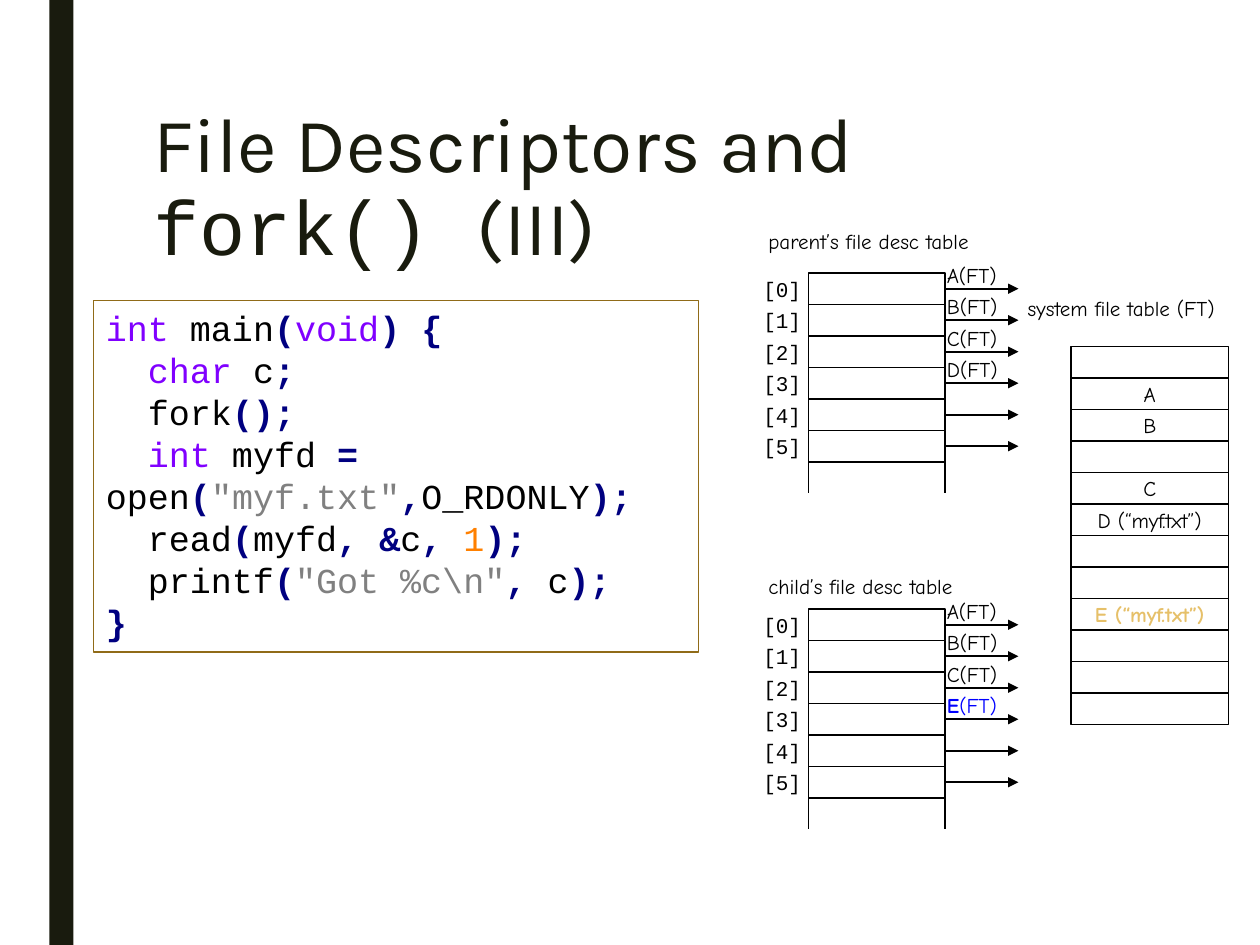
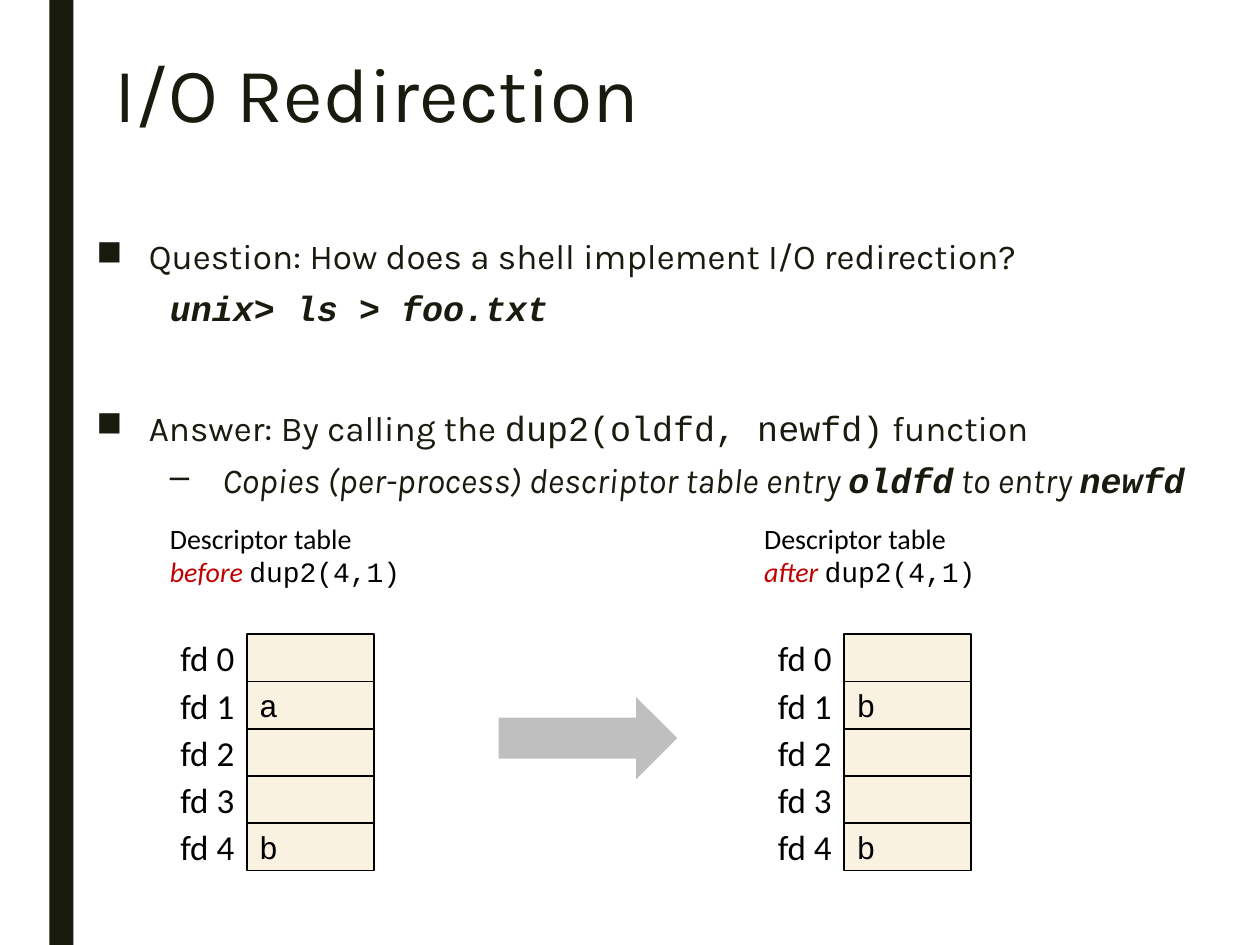
"""Build two slides on file descriptors, fork() and dup2()."""
from lxml import etree
from pptx import Presentation
from pptx import util as u
from pptx.dml.color import RGBColor
from pptx.enum import shapes, text
from pptx.oxml.ns import qn

PX = u.Inches(1) / 120
INK, BLACK, WHITE = "191B0E", "000000", "FFFFFF"
CREAM, GOLD, BROWN, GREY = "FAF2E1", "E6C069", "906B18", "BFBFBF"

LEFT, CENTER, RIGHT = text.PP_ALIGN.LEFT, text.PP_ALIGN.CENTER, text.PP_ALIGN.RIGHT
TOP, MIDDLE = text.MSO_ANCHOR.TOP, text.MSO_ANCHOR.MIDDLE

TITLE = {"name": "Karla", "size": u.Pt(44), "color": INK}
BODY = {"name": "Karla", "size": u.Pt(20), "color": INK}
CODE = {"name": "Courier New", "size": u.Pt(20), "color": BLACK}
SKETCH = {"name": "Comic Neue", "size": u.Pt(12), "color": BLACK}
INDEX = {"name": "Courier New", "size": u.Pt(12), "color": BLACK}
ENTRY = {"name": "Courier New", "size": u.Pt(18), "color": BLACK}
LABEL = {"name": "Calibri", "size": u.Pt(20), "color": BLACK}
CAPTION = {"name": "Calibri", "size": u.Pt(16), "color": BLACK}

MONO = {"name": "Courier New"}
ITALIC = {"italic": True}
MONO_BOLD_ITALIC = {"name": "Courier New", "bold": True, "italic": True}
PLAIN = {}
TYPE = {"color": "8000FF"}
MARK = {"color": "000080", "bold": True}
STRING = {"color": "808080"}
NUMBER = {"color": "FF8000"}


def px(length):
    return u.Emu(round(length * PX))


def rgb(value):
    return RGBColor.from_string(value)


class Deck:
    def __init__(self):
        self.deck = Presentation()
        self.deck.slide_width, self.deck.slide_height = px(1200), px(900)
        self.page = None

    def new_page(self, title, place):
        self.page = self.deck.slides.add_slide(self.deck.slide_layouts[6])
        self.shape((47, 0, 23, 900), fill=INK)
        box = self.text(place, [title], TITLE, paragraph={"line_spacing": 0.89})
        box.text_frame.margin_top = px(12)

    def shape(self, place, fill=None, line=None, width=1, kind=shapes.MSO_SHAPE.RECTANGLE):
        box = self.page.shapes.add_shape(kind, *map(px, place))
        box.shadow.inherit = False
        if fill:
            box.fill.solid()
            box.fill.fore_color.rgb = rgb(fill)
        else:
            box.fill.background()
        if line:
            box.line.color.rgb = rgb(line)
            box.line.width = u.Pt(width)
        else:
            box.line.fill.background()
        return box

    def text(self, place, lines, style, anchor=TOP, margin=12, paragraph=None):
        box = self.page.shapes.add_textbox(*map(px, place))
        self.put_text(box, lines, style, anchor, margin, paragraph)
        return box

    def put_text(self, box, lines, style, anchor=MIDDLE, margin=12, paragraph=None):
        frame = box.text_frame
        layout = {"word_wrap": True, "vertical_anchor": anchor,
                  "margin_left": px(margin), "margin_right": px(margin)}
        for name, value in layout.items():
            setattr(frame, name, value)
        for row, line in enumerate(lines):
            para = frame.add_paragraph() if row else frame.paragraphs[0]
            for name, value in {"alignment": LEFT, **(paragraph or {})}.items():
                setattr(para, name, value)
            for words, change in [(line, {})] if isinstance(line, str) else line:
                span = para.add_run()
                span.text = words
                look = {**style, **change}
                span.font.color.rgb = rgb(look.pop("color"))
                for name, value in look.items():
                    setattr(span.font, name, value)

    def indent(self, para, left, first, bullet=None):
        props = para._p.get_or_add_pPr()
        props.set("marL", str(px(left)))
        props.set("indent", str(px(first)))
        if bullet:
            etree.SubElement(props, qn("a:buChar")).set("char", bullet)
        else:
            etree.SubElement(props, qn("a:buNone"))

    def line(self, start, end, source=None, arrow=False):
        link = self.page.shapes.add_connector(
            shapes.MSO_CONNECTOR.STRAIGHT, *map(px, (*start, *end)))
        link.line.color.rgb = rgb(BLACK)
        link.line.width = u.Pt(1)
        if source is not None:
            link.begin_connect(source, 3)
        props = link._element.spPr
        if arrow:
            etree.SubElement(props.find(qn("a:ln")), qn("a:tailEnd")).set("type", "triangle")
        etree.SubElement(props, qn("a:effectLst"))

    def column(self, place, count, entries, style, align, fill=None):
        left, top, width, height = place
        cells = []
        for row in range(count):
            cell = self.shape((left, top + row * height, width, height), fill, BLACK)
            if row in entries:
                self.put_text(cell, [entries[row]], style, paragraph={"alignment": align})
            cells.append(cell)
        return cells

    def process_table(self, caption, caption_top, top, targets):
        left, width, height, count = 770, 130, 30, 6
        right, bottom = left + width, top + count * height
        self.text((720, caption_top, 240, 36), [caption], SKETCH)
        cells = self.column((left, top, width, height), count, {}, SKETCH, CENTER)
        for side in (left, right):
            self.line((side, bottom), (side, bottom + height))
        for row, cell in enumerate(cells):
            y = top + row * height
            self.text((720, y, 50, height), [f"[{row}]"], INDEX, MIDDLE, 0,
                      {"alignment": CENTER})
            middle = y + height // 2
            self.line((right, middle), (right + 70, middle), cell, arrow=True)
        for row, target in enumerate(targets):
            self.text((890, top - 16 + row * height, 79, 36), [target], SKETCH)

    def descriptor_table(self, left, caption_left, moment, entries):
        top, width, height, count = 604, 121, 45, 5
        self.column((left, top, width, height), count, entries, ENTRY, LEFT, CREAM)
        for row in range(count):
            self.text((left - width, top + row * height, width, height), [f"fd {row}"],
                      LABEL, MIDDLE, paragraph={"alignment": RIGHT})
        second = [(f"{moment} ", {"color": "C00000", "italic": True}), ("dup2(4,1)", MONO)]
        self.text((caption_left, 474, 340, 109), ["Descriptor table", second], CAPTION, MIDDLE)


def fork_page(deck):
    deck.new_page([("File Descriptors and ", {}), ("fork() ", MONO), ("(III)", {})],
                  (134, 90, 946, 194))
    deck.process_table("parent’s file desc table", 212, 260,
                       ["A(FT)", "B(FT)", "C(FT)", "D(FT)"])
    blue = {"color": "0000FF"}
    deck.process_table("child’s file desc table", 540, 580,
                       ["A(FT)", "B(FT)", "C(FT)",
                        [("E", {**blue, "bold": True}), ("(FT)", blue)]])
    deck.text((967, 276, 230, 36), ["system file table (FT)"], SKETCH)
    files = {1: "A", 2: "B", 4: "C", 5: "D (“myf.txt”)",
             8: [("E (“myf.txt”)", {"color": GOLD, "bold": True})]}
    deck.column((1020, 330, 150, 30), 12, files, SKETCH, CENTER)

    program = [
        [("int", TYPE), (" main", PLAIN), ("(", MARK), ("void", TYPE), (") {", MARK)],
        [("char", TYPE), (" c", PLAIN), (";", MARK)],
        [("fork", PLAIN), ("();", MARK)],
        [("int", TYPE), (" myfd ", PLAIN), ("=", MARK), (" open", PLAIN), ("(", MARK),
         ('"myf.txt"', STRING), (",", MARK), ("O_RDONLY", PLAIN), (");", MARK)],
        [("read", PLAIN), ("(", MARK), ("myfd", PLAIN), (", &", MARK), ("c", PLAIN),
         (", ", MARK), ("1", NUMBER), (");", MARK)],
        [("printf", PLAIN), ("(", MARK), (r'"Got %c\n"', STRING), (",", MARK),
         (" c", PLAIN), (");", MARK)],
        [("}", MARK)],
    ]
    listing = deck.shape((89, 286, 576, 335), WHITE, BROWN, 0.75)
    deck.put_text(listing, program, CODE, TOP)
    for para in listing.text_frame.paragraphs[1:-1]:
        deck.indent(para, 0, 40)


def redirection_page(deck):
    deck.new_page("I/O Redirection", (97, 42, 996, 100))
    points = [
        ("■", 10, "Question: How does a shell implement I/O redirection?"),
        (None, 5, [("unix> ls > foo.txt", MONO_BOLD_ITALIC)]),
        ("■", 44, [("Answer: By calling the ", {}), ("dup2(oldfd, newfd)", MONO),
                   (" function", {})]),
        ("–", 5, [("Copies (per-process) descriptor table entry ", ITALIC),
                  ("oldfd", MONO_BOLD_ITALIC), (" to entry ", ITALIC),
                  ("newfd", MONO_BOLD_ITALIC)]),
    ]
    box = deck.text((80, 221, 1090, 269), [words for _, _, words in points], BODY,
                    paragraph={"line_spacing": 0.94, "space_after": u.Pt(2)})
    for para, (bullet, before, _) in zip(box.text_frame.paragraphs, points):
        para.space_before = u.Pt(before)
        para.level = 0 if bullet == "■" else 1
        deck.indent(para, 120 if para.level else 50, -50, bullet)

    deck.descriptor_table(235, 150, "before", {1: "a", 4: "b"})
    deck.descriptor_table(804, 716, "after", {1: "b", 4: "b"})
    deck.shape((475, 664, 170, 78), GREY, kind=shapes.MSO_SHAPE.RIGHT_ARROW)


def main():
    deck = Deck()
    fork_page(deck)
    redirection_page(deck)
    deck.deck.save("out.pptx")


if __name__ == "__main__":
    main()
